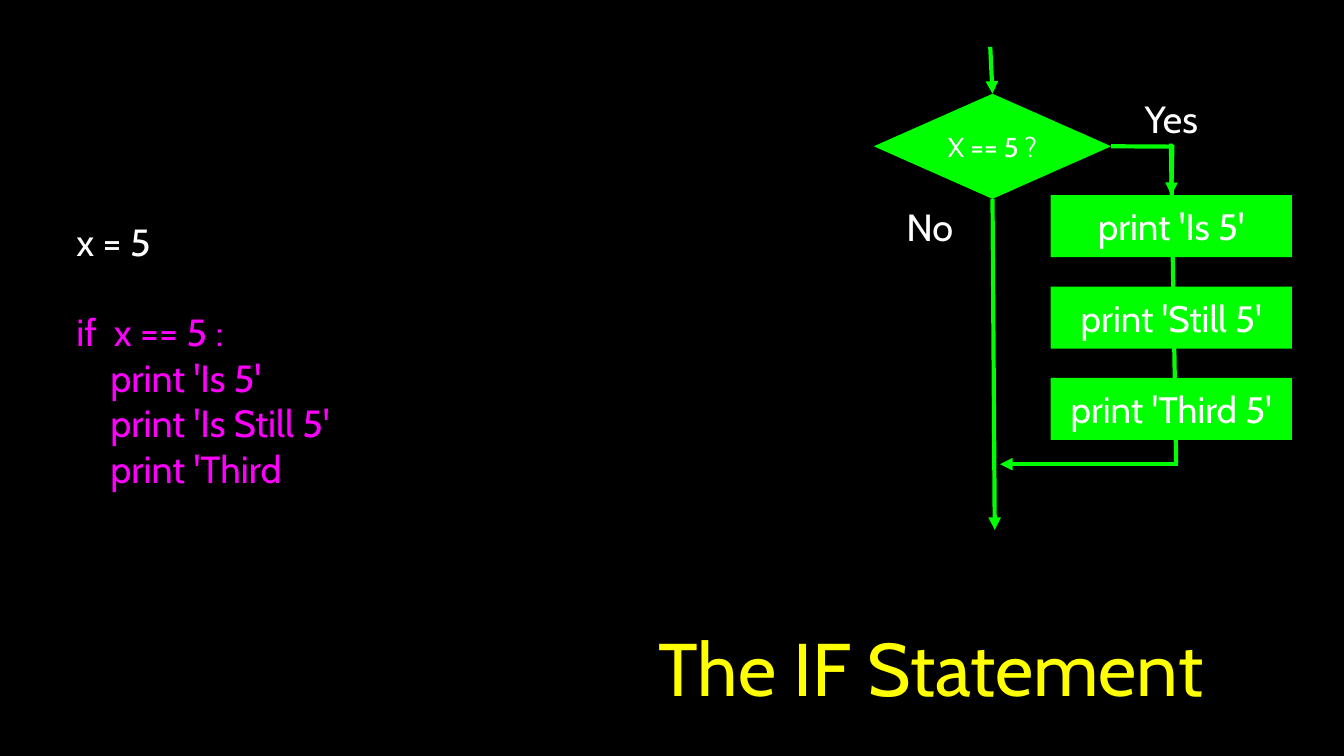
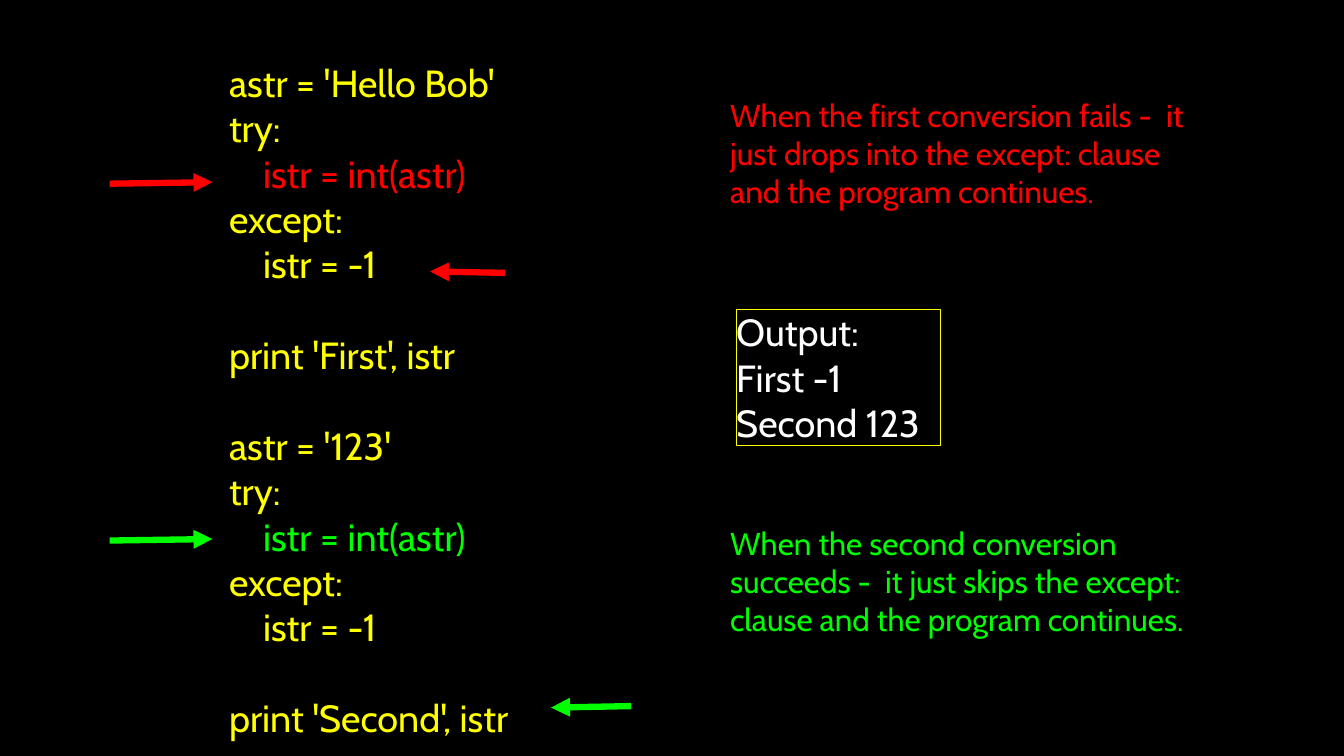
import pptx
import pptx.util
import pptx.dml.color
import pptx.enum.shapes
import pptx.enum.text
import pptx.oxml
import pptx.oxml.ns

Inches = pptx.util.Inches
Pt = pptx.util.Pt
RGB = pptx.dml.color.RGBColor
Shape = pptx.enum.shapes.MSO_SHAPE
Align = pptx.enum.text.PP_ALIGN
Anchor = pptx.enum.text.MSO_ANCHOR

BLACK = RGB(0x00, 0x00, 0x00)
WHITE = RGB(0xFF, 0xFF, 0xFF)
YELLOW = RGB(0xFF, 0xFF, 0x00)
GREEN = RGB(0x00, 0xFF, 0x00)
RED = RGB(0xFF, 0x00, 0x00)
PINK = RGB(0xFF, 0x00, 0xFF)

FONT = "Cabin"
INDENT = Inches(0.45)
GAP = Inches(0.6)


def apply(target, values):
    for name, value in values.items():
        setattr(target, name, value)


class Deck:
    def __init__(self):
        self.prs = pptx.Presentation()
        apply(self.prs, {"slide_width": Inches(17.78), "slide_height": Inches(10)})
        back = self.prs.slide_master.background.fill
        back.solid()
        back.fore_color.rgb = BLACK
        self.slide = None

    def start(self, layout):
        self.slide = self.prs.slides.add_slide(self.prs.slide_layouts[layout])

    def letter(self, shape, lines, size, align, anchor=Anchor.MIDDLE, wrap=True, inset=0):
        frame = shape.text_frame
        margins = {f"margin_{side}": Inches(inset) for side in ("left", "top", "right", "bottom")}
        apply(frame, {"word_wrap": wrap, "vertical_anchor": anchor,
                      "auto_size": pptx.enum.text.MSO_AUTO_SIZE.NONE, **margins})
        for spot, (text, color, *marks) in enumerate(lines):
            para = frame.add_paragraph() if spot else frame.paragraphs[0]
            apply(para, {"alignment": align, "space_before": GAP if "gap" in marks else 0})
            if "indent" in marks:
                props = para._p.get_or_add_pPr()
                props.set("marL", str(int(INDENT)))
                props.set("indent", "0")
            run = para.add_run()
            run.text = text
            apply(run.font, {"name": FONT, "size": Pt(size)})
            run.font.color.rgb = color

    def title(self, text, box):
        shape = self.slide.shapes.title
        apply(shape, dict(zip(("left", "top", "width", "height"), map(Inches, box))))
        self.letter(shape, [(text, YELLOW)], 71, Align.CENTER, inset=0.04)

    def text(self, box, lines, size=36, align=Align.LEFT, **style):
        shape = self.slide.shapes.add_textbox(*map(Inches, box))
        self.letter(shape, lines, size, align, **style)

    def shape(self, kind, box, lines, size, align=Align.CENTER, fill=None, edge=None):
        shape = self.slide.shapes.add_shape(kind, *map(Inches, box))
        shape.shadow.inherit = False
        for part, color in ((shape.fill, fill), (shape.line.fill, edge)):
            if color is None:
                part.background()
            else:
                part.solid()
                part.fore_color.rgb = color
        if edge is not None:
            shape.line.width = Pt(1)
        self.letter(shape, lines, size, align)
        return shape

    def line(self, start, end, color=GREEN, width=4, arrow=True, begin=None, finish=None):
        line = self.slide.shapes.add_connector(
            pptx.enum.shapes.MSO_CONNECTOR.STRAIGHT, *map(Inches, start + end))
        line.line.color.rgb = color
        line.line.width = Pt(width)
        if begin:
            line.begin_connect(*begin)
        if finish:
            line.end_connect(*finish)
        props = line._element.spPr
        if arrow:
            head = pptx.oxml.parse_xml(
                f'<a:headEnd {pptx.oxml.ns.nsdecls("a")} type="triangle"/>')
            line.line._get_or_add_ln().append(head)
        props.append(pptx.oxml.parse_xml(f'<a:effectLst {pptx.oxml.ns.nsdecls("a")}/>'))


def draw_flow(deck):
    deck.start(5)
    deck.title("The IF Statement", (7.13, 7.57, 10.37, 2.51))
    deck.text((1.01, 2.89, 11.35, 3.6), [
        ("x = 5", WHITE),
        ("if  x == 5 :", PINK, "gap"),
        ("print 'Is 5'", PINK, "indent"),
        ("print 'Is Still 5'", PINK, "indent"),
        ("print 'Third", PINK, "indent"),
    ], anchor=Anchor.TOP)

    deck.line((15.49, 1.9), (15.56, 6.12), arrow=False)
    test = deck.shape(Shape.DIAMOND, (11.56, 1.24, 3.14, 1.39),
                      [("X == 5 ?", WHITE)], 26, fill=GREEN)
    steps = [deck.shape(Shape.RECTANGLE, (13.9, 2.58 + 1.21 * row, 3.19, 0.82),
                        [(f"print '{word} 5'", WHITE)], 35, fill=GREEN)
             for row, word in enumerate(("Is", "Still", "Third"))]

    deck.line((13.12, 1.24), (13.1, 0.62), begin=(test, 0))
    deck.line((13.16, 7.01), (13.1, 2.57), finish=(test, 2))
    deck.line((15.53, 1.94), (14.68, 1.92), arrow=False, finish=(test, 3))
    deck.line((15.49, 2.63), (15.51, 1.92), begin=(steps[0], 0))
    deck.line((13.23, 6.14), (15.58, 6.14))

    for word, box in (("Yes", (15.09, 1.26, 0.81, 0.6)), ("No", (11.96, 2.69, 0.68, 0.6))):
        deck.text(box, [(word, WHITE)], align=Align.CENTER, wrap=False)


def draw_try(deck):
    deck.start(6)
    code = []
    for value, color, label, *marks in (("Hello Bob", RED, "First"),
                                        ("123", GREEN, "Second", "gap")):
        code += [
            (f"astr = '{value}'", YELLOW, *marks),
            ("try:", YELLOW),
            ("istr = int(astr)", color, "indent"),
            ("except:", YELLOW),
            ("istr = -1", YELLOW, "indent"),
            (f"print '{label}', istr", YELLOW, "gap"),
        ]
    deck.text((3.03, 0.79, 4.22, 9), code, anchor=Anchor.TOP)

    result = [(text, WHITE) for text in ("Output:", "First -1", "Second 123")]
    deck.shape(Shape.RECTANGLE, (9.74, 4.09, 2.7, 1.8), result, 36, Align.LEFT, edge=YELLOW)

    notes = (
        (1.24, RED, "When the first conversion fails -  it just drops into "
                    "the except: clause and the program continues."),
        (6.9, GREEN, "When the second conversion succeeds -  it just skips "
                     "the except: clause and the program continues."),
    )
    for top, color, text in notes:
        deck.text((9.66, top, 6.44, 1.57), [(text, color)], 30)

    for tip, tail, color in (
        ((2.81, 2.41), (1.45, 2.43), RED),
        ((5.69, 3.59), (6.68, 3.61), RED),
        ((2.81, 7.13), (1.45, 7.15), GREEN),
        ((7.29, 9.36), (8.35, 9.34), GREEN),
    ):
        deck.line(tip, tail, color, 6)


def main():
    deck = Deck()
    draw_flow(deck)
    draw_try(deck)
    deck.prs.save("out.pptx")


if __name__ == "__main__":
    main()
